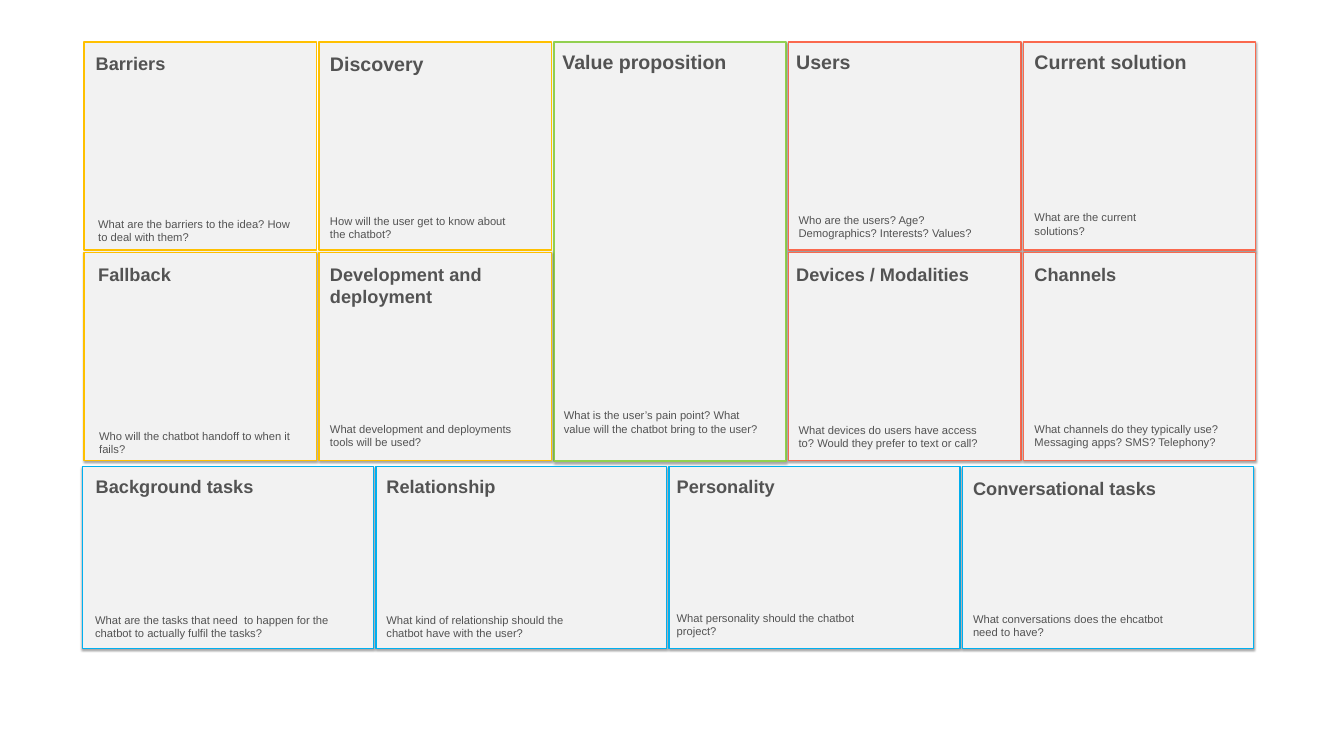
from typing import NamedTuple

from pptx import Presentation
from pptx.dml.color import RGBColor
from pptx.enum.shapes import MSO_SHAPE
from pptx.enum.text import MSO_AUTO_SIZE
from pptx.oxml import parse_xml
from pptx.oxml.ns import nsdecls
from pptx.util import Inches, Pt

RECT = MSO_SHAPE.RECTANGLE
GROW = MSO_AUTO_SIZE.SHAPE_TO_FIT_TEXT


class Theme:
    font = "Arial"
    text = RGBColor.from_string("535353")
    fill = RGBColor.from_string("F2F2F2")
    white = RGBColor.from_string("FFFFFF")
    green = RGBColor.from_string("92D050")
    gold = RGBColor.from_string("FFC000")
    coral = RGBColor.from_string("FA694E")
    blue = RGBColor.from_string("00B0F0")
    border = 2
    big, head, note = 28, 26, 16


class Label(NamedTuple):
    """Text with its offset inside a card."""
    text: str
    x: float
    y: float
    width: float
    size: int = Theme.head
    lines: int = 1
    wrap: bool = True


def ask(text, x, y, width=4.05, lines=2):
    return Label(text, x, y, width, Theme.note, lines)


VALUE = (
    Label("Value proposition", 0.07, 0.12, 3.52, Theme.big, wrap=False),
    ask("What is the user’s pain point? What value will the chatbot bring to the user?",
        0.1, 7.23, lines=3))

# Column number, border colour, title, question
UPPER = [
    (0, Theme.gold, Label("Barriers", 0.13, 0.16, 2.06),
     ask("What are the barriers to the idea? How to deal with them?", 0.18, 3.43)),
    (1, Theme.gold, Label("Discovery", 0.12, 0.16, 2.62, Theme.big),
     ask("How will the user get to know about the chatbot?", 0.12, 3.37)),
    (3, Theme.coral, Label("Users", 0.05, 0.12, 1.3, Theme.big, wrap=False),
     ask("Who are the users? Age? Demographics? Interests? Values?", 0.1, 3.35, 4.24)),
    (4, Theme.coral, Label("Current solution", 0.12, 0.12, 3.26, Theme.big, wrap=False),
     ask("What are the current solutions?", 0.12, 3.3, 2.98)),
]
MIDDLE = [
    (0, Theme.gold, Label("Fallback", 0.18, 0.17, 1.93),
     ask("Who will the chatbot handoff to when it fails?", 0.2, 3.45)),
    (1, Theme.gold, Label("Development and deployment", 0.12, 0.17, 4.29, lines=2),
     ask("What development and deployments tools will be used?", 0.12, 3.32)),
    (3, Theme.coral, Label("Devices / Modalities", 0.05, 0.17, 4.24),
     ask("What devices do users have access to? Would they prefer to text or call?", 0.1, 3.33)),
    (4, Theme.coral, Label("Channels", 0.12, 0.17, 2.6),
     ask("What channels do they typically use? Messaging apps? SMS? Telephony?", 0.12, 3.32)),
]
LOWER = [
    (0, Theme.blue, Label("Background tasks", 0.16, 0.13, 4.05),
     ask("What are the tasks that need  to happen for the chatbot to actually fulfil the tasks?",
         0.15, 2.85, 5.42)),
    (1, Theme.blue, Label("Relationship", 0.11, 0.12, 3.27),
     ask("What kind of relationship should the chatbot have with the user?", 0.11, 2.86, 4.21)),
    (2, Theme.blue, Label("Personality", 0.05, 0.12, 2.89),
     ask("What personality should the chatbot project?", 0.05, 2.81, 4.19)),
    (3, Theme.blue, Label("Conversational tasks", 0.11, 0.16, 4.49),
     ask("What conversations does the ehcatbot need to have?", 0.11, 2.84)),
]


def add_shadow(shape):
    shape.shadow.inherit = False
    effects = shape._element.spPr.find(
        "{http://schemas.openxmlformats.org/drawingml/2006/main}effectLst")
    effects.append(parse_xml(
        f'<a:outerShdw {nsdecls("a")} blurRad="{Pt(3)}" dist="{Pt(1.8)}" dir="5400000" '
        'rotWithShape="0"><a:srgbClr val="000000"><a:alpha val="35000"/></a:srgbClr>'
        '</a:outerShdw>'))


def add_label(slide, left, top, label):
    height = label.lines * label.size * 1.2 / 72 + 0.1
    box = slide.shapes.add_textbox(Inches(left + label.x), Inches(top + label.y),
                                   Inches(label.width), Inches(height))
    frame = box.text_frame
    frame.word_wrap = label.wrap
    frame.auto_size = GROW
    run = frame.paragraphs[0].add_run()
    run.text = label.text
    style = {"name": Theme.font, "size": Pt(label.size), "bold": label.size > Theme.note}
    for name, value in style.items():
        setattr(run.font, name, value)
    run.font.color.rgb = Theme.text


def add_card(slide, box, color, title, question, shaded=True):
    left, top = box[:2]
    card = slide.shapes.add_shape(RECT, *map(Inches, box))
    card.fill.solid()
    card.fill.fore_color.rgb = Theme.fill
    card.line.color.rgb = color
    card.line.width = Pt(Theme.border)
    if shaded:
        add_shadow(card)
    else:
        card.shadow.inherit = False
    for label in (title, question):
        add_label(slide, left, top, label)


def add_row(slide, box, pitch, cards, flat=()):
    """Place cards at equal steps; box is that of the first column."""
    left, top, width, height = box
    for col, color, title, question in cards:
        add_card(slide, (left + col * pitch, top, width, height),
                 color, title, question, color not in flat)


def main():
    deck = Presentation()
    deck.slide_width, deck.slide_height = Inches(26.67), Inches(15)
    slide = deck.slides.add_slide(deck.slide_layouts[6])
    slide.background.fill.solid()
    slide.background.fill.fore_color.rgb = Theme.white
    left, pitch = 1.67, 4.66
    add_card(slide, (left + 2 * pitch, 0.83, 4.61, 8.32), Theme.green, *VALUE)
    add_row(slide, (left, 0.83, 4.61, 4.13), pitch, UPPER, flat=(Theme.gold,))
    add_row(slide, (left, 5.01, 4.61, 4.13), pitch, MIDDLE)
    add_row(slide, (1.64, 9.26, 5.77, 3.61), 5.82, LOWER)
    deck.save("out.pptx")


if __name__ == "__main__":
    main()
